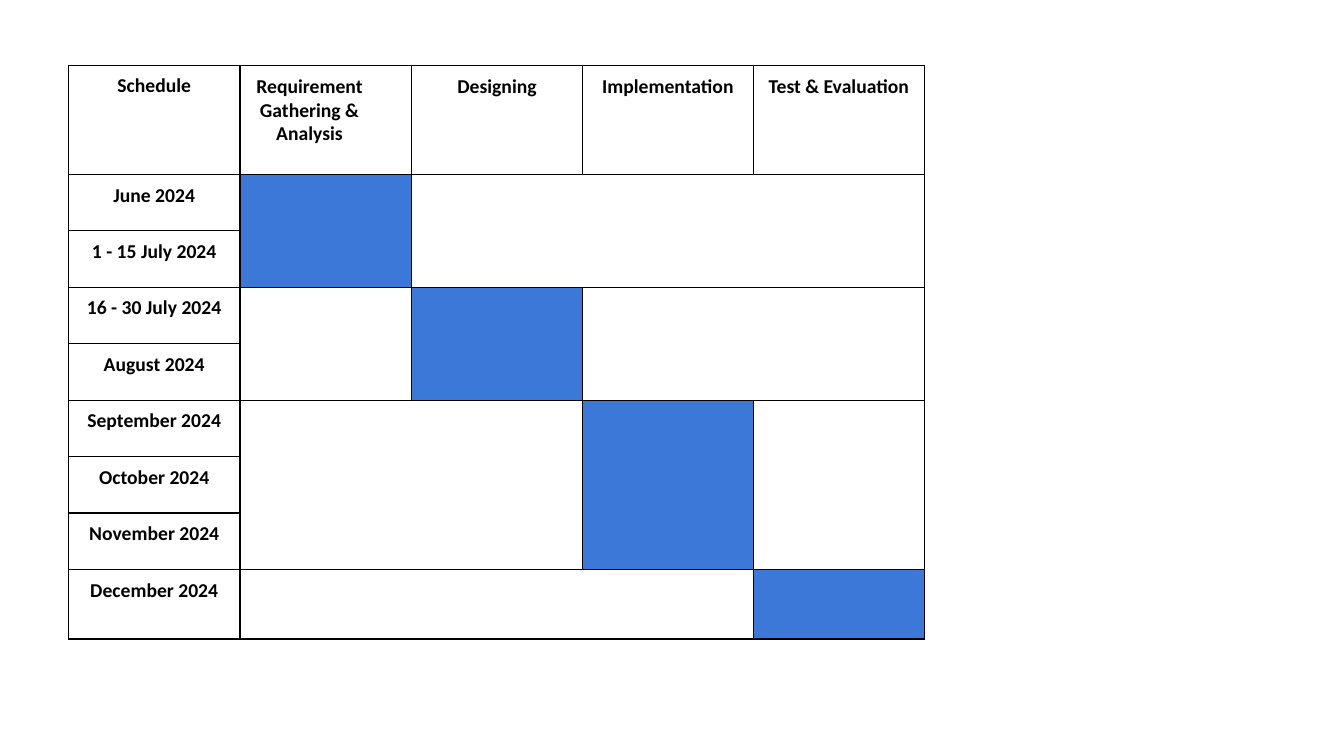
from lxml import etree
from pptx import Presentation
from pptx.dml.color import RGBColor
from pptx.enum.text import PP_ALIGN
from pptx.oxml.ns import qn
from pptx.util import Inches, Pt

CENTER = PP_ALIGN.CENTER
BLANK_LAYOUT = 6
BLACK = "000000"
BLUE = "3C78D8"

COLUMN_WIDTHS = [1.7, 1.7, 1.7, 1.69, 1.7]
ROW_HEIGHTS = [1.08] + [0.56] * 7 + [0.69]
PHASES = ["Schedule", "Requirement Gathering & Analysis", "Designing",
          "Implementation", "Test & Evaluation"]
PERIODS = ["June 2024", "1 - 15 July 2024", "16 - 30 July 2024", "August 2024",
           "September 2024", "October 2024", "November 2024", "December 2024"]
PHASE_ROWS = [(1, 2), (3, 4), (5, 7), (8, 8)]


def color(hex_string):
    """Return the colour for a hex string."""
    return RGBColor.from_string(hex_string)


def write_text(cell, text, size=14, bold=True, font="Calibri", fill=BLACK,
               align=CENTER, space_before=6.3):
    """Write one formatted paragraph into a cell."""
    paragraph = cell.text_frame.paragraphs[0]
    paragraph.alignment = align
    paragraph.space_before = Pt(space_before)
    run = paragraph.add_run()
    run.text = text
    run.font.name = font
    run.font.size = Pt(size)
    run.font.bold = bold
    run.font.color.rgb = color(fill)


def set_margins(cell, top=0.0, right=0.0):
    """Set the cell margins in inches, with none at the left and bottom."""
    cell.margin_left = cell.margin_bottom = Inches(0)
    cell.margin_top = Inches(top)
    cell.margin_right = Inches(right)


def add_borders(cell, width=1, line_color=BLACK):
    """Draw a solid line on all four sides of a cell."""
    properties = cell._tc.get_or_add_tcPr()
    for side in ("lnL", "lnR", "lnT", "lnB"):
        line = etree.SubElement(properties, qn(f"a:{side}"), w=str(Pt(width)))
        solid = etree.SubElement(line, qn("a:solidFill"))
        etree.SubElement(solid, qn("a:srgbClr"), val=line_color)


def add_grid(slide):
    """Add the empty bordered table and return it."""
    frame = slide.shapes.add_table(
        len(ROW_HEIGHTS), len(COLUMN_WIDTHS), Inches(0.68), Inches(0.65),
        Inches(sum(COLUMN_WIDTHS)), Inches(sum(ROW_HEIGHTS)))
    table = frame.table
    table.first_row = table.horz_banding = False
    for column, width in zip(table.columns, COLUMN_WIDTHS):
        column.width = Inches(width)
    for row, height in zip(table.rows, ROW_HEIGHTS):
        row.height = Inches(height)
    for cell in table.iter_cells():
        set_margins(cell)
        add_borders(cell)
        cell.fill.background()
    return table


def write_labels(table):
    """Write the phase headings and the period names."""
    for column, phase in enumerate(PHASES):
        cell = table.cell(0, column)
        set_margins(cell, top=0.09 if column else 0.08,
                    right=0.32 if column == 1 else 0)
        write_text(cell, phase)
    for row, period in enumerate(PERIODS, start=1):
        cell = table.cell(row, 0)
        set_margins(cell, top=0.09)
        write_text(cell, period)


def merge_block(table, first_row, last_row, first_column, last_column):
    """Merge a block of cells when it holds more than one."""
    if last_column < first_column:
        return
    if (first_row, first_column) != (last_row, last_column):
        table.cell(first_row, first_column).merge(
            table.cell(last_row, last_column))


def mark_phases(table):
    """Fill each phase's bar and merge the empty areas on both sides."""
    last = len(PHASES) - 1
    for column, (first_row, last_row) in enumerate(PHASE_ROWS, start=1):
        merge_block(table, first_row, last_row, 1, column - 1)
        merge_block(table, first_row, last_row, column, column)
        merge_block(table, first_row, last_row, column + 1, last)
        for row in range(first_row, last_row + 1):
            fill = table.cell(row, column).fill
            fill.solid()
            fill.fore_color.rgb = color(BLUE)


def main():
    """Build the project schedule slide."""
    presentation = Presentation()
    presentation.slide_width = Inches(13.33)
    presentation.slide_height = Inches(7.5)
    slide = presentation.slides.add_slide(
        presentation.slide_layouts[BLANK_LAYOUT])
    table = add_grid(slide)
    write_labels(table)
    mark_phases(table)
    presentation.save("out.pptx")


if __name__ == "__main__":
    main()
